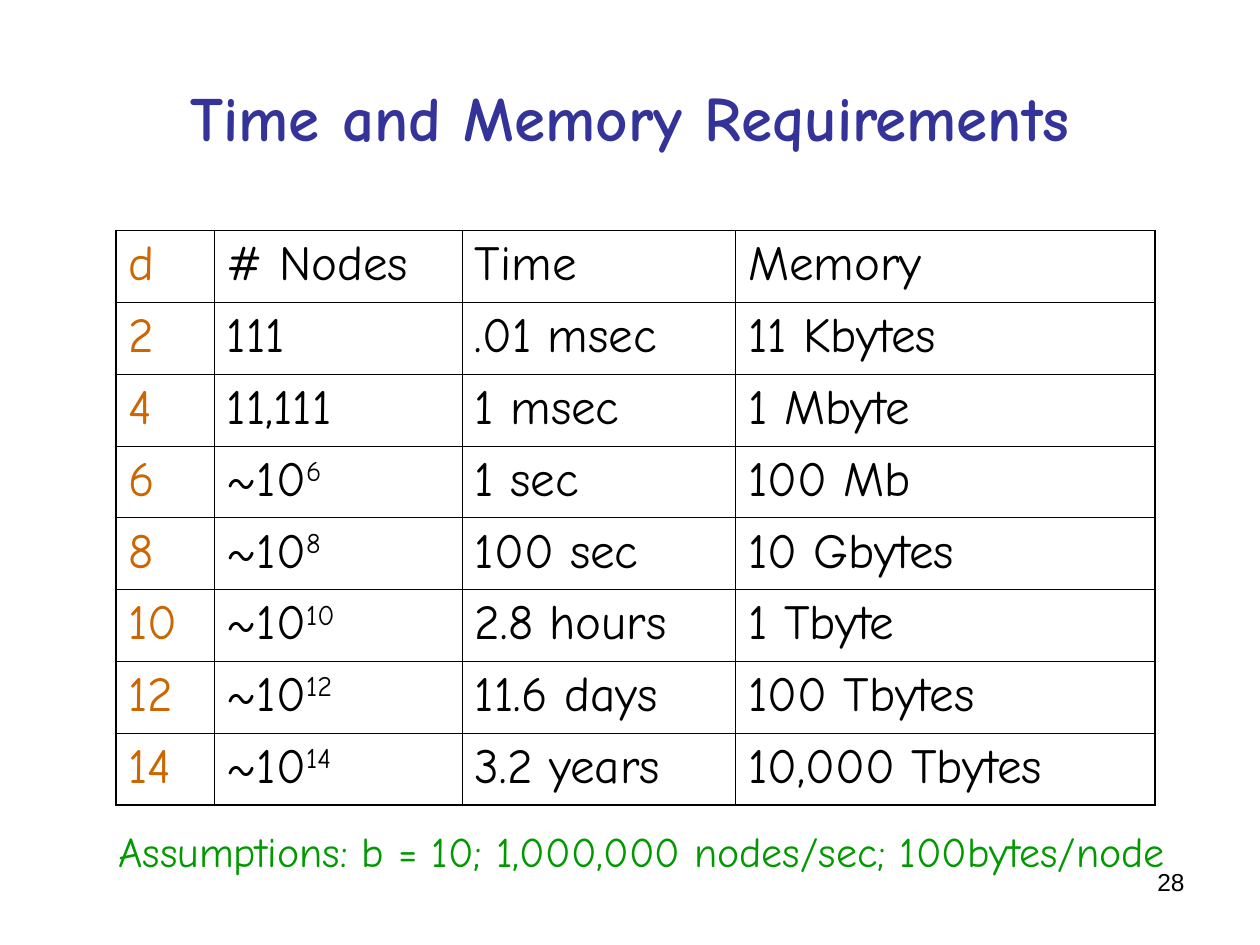
"""Build the slide on time and memory requirements of a search."""
from lxml import etree
from pptx import Presentation
from pptx import util as u
from pptx.dml.color import RGBColor
from pptx.enum import text
from pptx.oxml import ns

COLORS = {
    "title": "333399",
    "depth": "CC6600",
    "body": "000000",
    "note": "009900",
}
HEADINGS = ["d", "# Nodes", "Time", "Memory"]
REQUIREMENTS = [
    ("2", "111", ".01 msec", "11 Kbytes"),
    ("4", "11,111", "1 msec", "1 Mbyte"),
    ("6", "~10^6", "1 sec", "100 Mb"),
    ("8", "~10^8", "100 sec", "10 Gbytes"),
    ("10", "~10^10", "2.8 hours", "1 Tbyte"),
    ("12", "~10^12", "11.6 days", "100 Tbytes"),
    ("14", "~10^14", "3.2 years", "10,000 Tbytes"),
]


class SlideBuilder:
    """Hold the style and the current slide, on a grid of 100 columns by 75 rows."""

    font = "Comic Neue"
    inner_line = 0.45
    outer_line = 1.08

    def __init__(self, deck):
        self.page = deck.slides.add_slide(deck.slide_layouts[5])
        self.column = deck.slide_width / 100
        self.row = deck.slide_height / 75

    def area(self, left, top, width, height):
        """Turn grid columns and rows into slide lengths."""
        return (
            u.Emu(round(left * self.column)),
            u.Emu(round(top * self.row)),
            u.Emu(round(width * self.column)),
            u.Emu(round(height * self.row)),
        )

    def format(self, para, size, color, font=None, bold=False):
        """Format every run of a paragraph."""
        for span in para.runs:
            span.font.name = font or self.font
            span.font.size = u.Pt(size)
            span.font.bold = bold
            span.font.color.rgb = RGBColor.from_string(COLORS[color])

    def title(self, wording, area):
        """Place and format the title placeholder."""
        box = self.page.shapes.title
        box.left, box.top, box.width, box.height = self.area(*area)
        frame = box.text_frame
        frame.text = wording
        frame.word_wrap = True
        frame.auto_size = text.MSO_AUTO_SIZE.NONE
        frame.vertical_anchor = text.MSO_ANCHOR.MIDDLE
        para = frame.paragraphs[0]
        para.alignment = text.PP_ALIGN.CENTER
        self.format(para, 36, "title", bold=True)

    def label(self, wording, area, size, color, font=None, align="LEFT", wrap=True):
        """Add a text box of one paragraph."""
        frame = self.page.shapes.add_textbox(*self.area(*area)).text_frame
        frame.text = wording
        frame.word_wrap = wrap
        if not wrap:
            frame.auto_size = text.MSO_AUTO_SIZE.SHAPE_TO_FIT_TEXT
        para = frame.paragraphs[0]
        para.alignment = text.PP_ALIGN[align]
        self.format(para, size, color, font)

    def borders(self, cell, outer_sides):
        """Draw the four borders of a cell, heavier on the table's outer sides."""
        properties = cell._tc.get_or_add_tcPr()
        for side in "LRTB":
            weight = self.outer_line if side in outer_sides else self.inner_line
            line = etree.SubElement(
                properties, ns.qn(f"a:ln{side}"), w=str(int(u.Pt(weight)))
            )
            fill = etree.SubElement(line, ns.qn("a:solidFill"))
            etree.SubElement(fill, ns.qn("a:srgbClr"), val=COLORS["body"])

    def cell(self, cell, wording, color):
        """Fill a cell; what follows a caret is raised."""
        base, _, power = wording.partition("^")
        para = cell.text_frame.paragraphs[0]
        para.text = base
        if power:
            span = para.add_run()
            span.text = power
            span.font._element.set("baseline", "30000")
        self.format(para, 28, color)

    def table(self, rows, area, widths):
        """Add a ruled table with a coloured first column."""
        shape = self.page.shapes.add_table(len(rows), len(widths), *self.area(*area))
        grid = shape.table
        grid.first_row = grid.horz_banding = False
        for column, width in zip(grid.columns, widths):
            column.width = u.Emu(round(width * self.column))
        for r, values in enumerate(rows):
            for c, wording in enumerate(values):
                cell = grid.cell(r, c)
                edges = {
                    "L": c == 0,
                    "R": c == len(widths) - 1,
                    "T": r == 0,
                    "B": r == len(rows) - 1,
                }
                self.borders(cell, [side for side, outer in edges.items() if outer])
                cell.fill.background()
                self.cell(cell, wording, "body" if c else "depth")


def main():
    """Build and save the deck."""
    deck = Presentation()
    deck.slide_width, deck.slide_height = u.Inches(10), u.Inches(7.5)
    slide = SlideBuilder(deck)
    slide.title("Time and Memory Requirements", (5, 3, 90, 12.5))
    slide.table(
        [HEADINGS, *REQUIREMENTS], (9.2, 18.3, 82.5, 45.6), [7.8, 19.7, 21.7, 33.3]
    )
    slide.label(
        "Assumptions: b = 10; 1,000,000 nodes/sec; 100bytes/node",
        (8.4, 65, 85.2, 5), 24, "note", wrap=False,
    )
    slide.label("28", (71.7, 68.3, 23.3, 5.2), 14, "body", font="Arial", align="RIGHT")
    deck.save("out.pptx")


if __name__ == "__main__":
    main()
